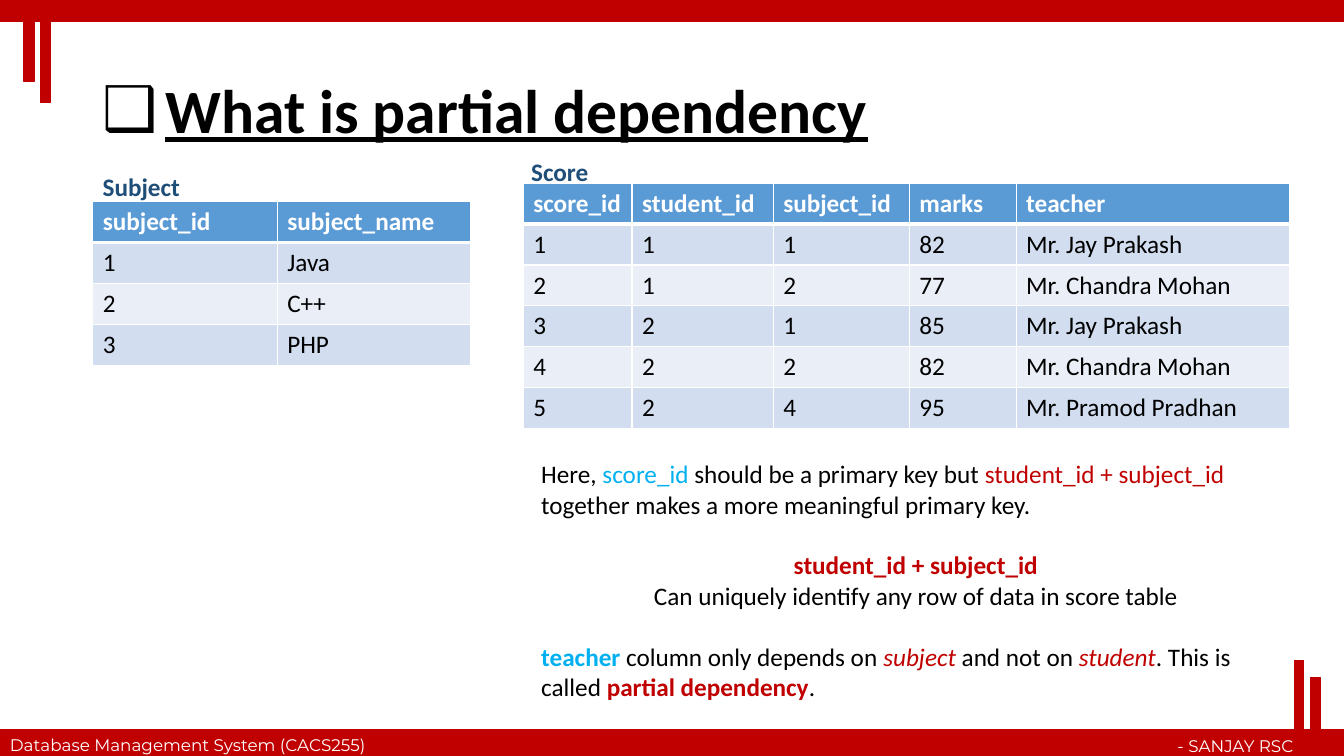
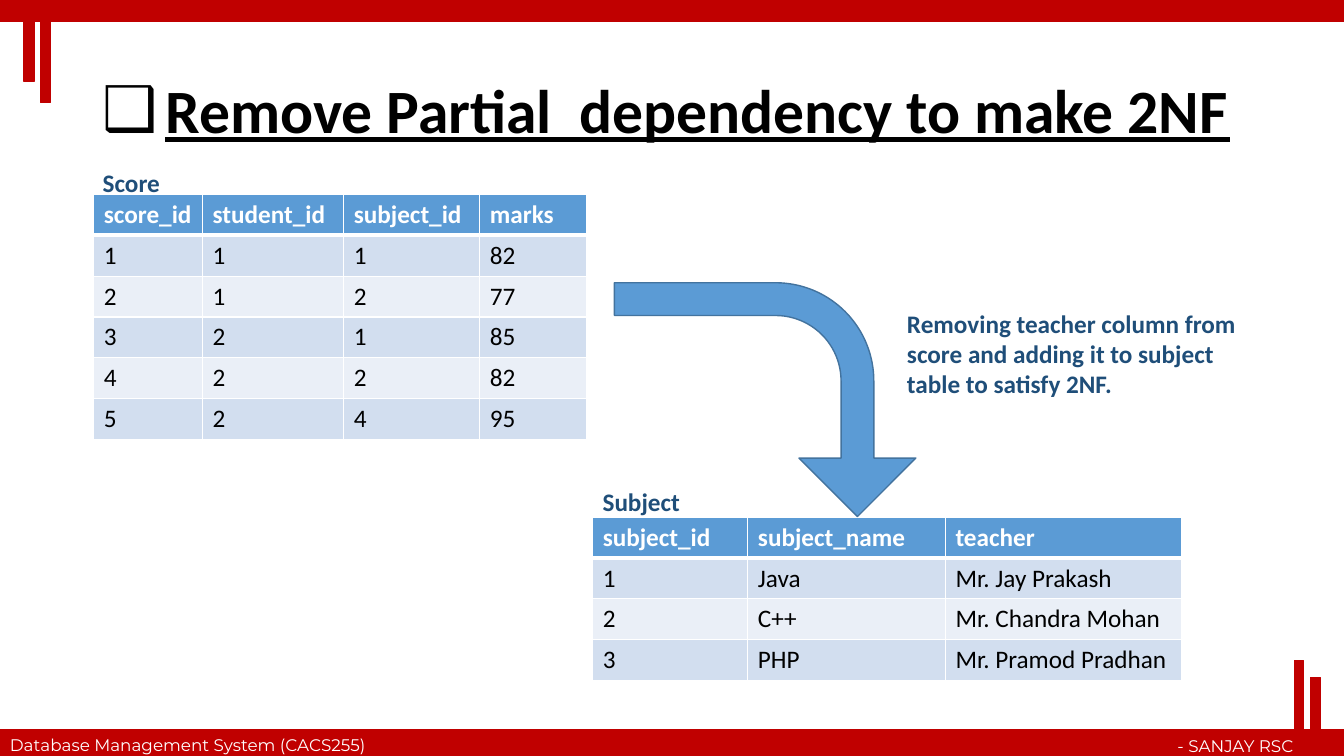
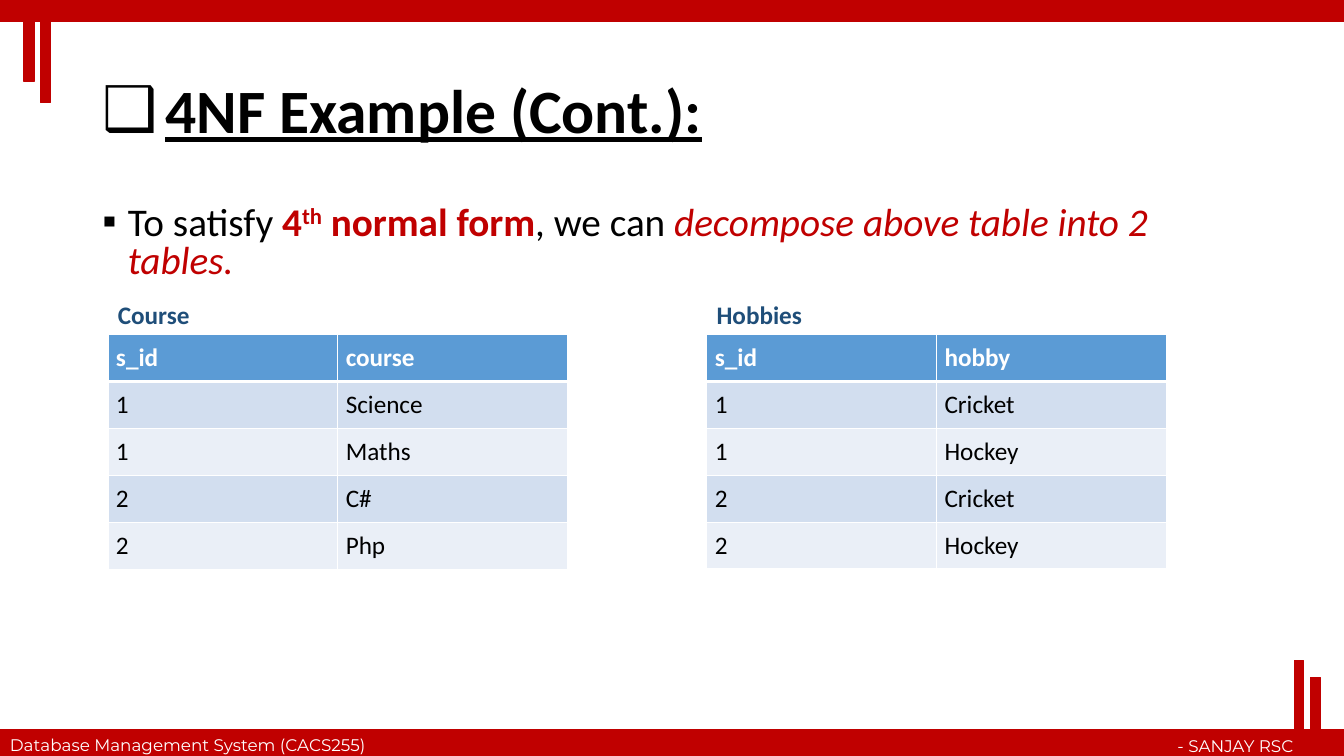
from dataclasses import dataclass

from lxml.etree import SubElement
from pptx import Presentation
from pptx.dml.color import RGBColor
from pptx.enum.shapes import MSO_SHAPE, PP_PLACEHOLDER
from pptx.enum.text import MSO_ANCHOR, MSO_AUTO_SIZE, PP_ALIGN
from pptx.oxml.ns import qn
from pptx.util import Inches, Pt


@dataclass(frozen=True)
class Theme:
    font: str = "Calibri"
    footer_font: str = "Montserrat"
    red: str = "C00000"
    cyan: str = "00B0F0"
    navy: str = "1F4E79"
    blue: str = "5B9BD5"
    outline: str = "43739E"
    band_dark: str = "D2DEEF"
    band_light: str = "EAEFF7"
    white: str = "FFFFFF"
    black: str = "000000"
    title: int = 44
    body: int = 28
    text: int = 18
    footer: int = 12


T = Theme()
RGB = RGBColor.from_string

prs = Presentation()
prs.slide_width, prs.slide_height = Inches(13.33), Inches(7.5)
X, Y = prs.slide_width / 100, prs.slide_height / 100


def place(left, top, width, height):
    """Turn percentages of the slide's size into lengths."""
    return [round(v * u) for v, u in zip((left, top, width, height), (X, Y, X, Y))]


def write(p, *runs, align=PP_ALIGN.LEFT, before=0, spacing=None, bullet=None,
          indent=0, **base):
    """Fill a paragraph with runs: plain strings or (text, format) pairs."""
    p.alignment, p.space_before, p.line_spacing = align, Pt(before), spacing
    if bullet:
        pPr = p._p.get_or_add_pPr()
        pPr.set("marL", str(Inches(indent)))
        pPr.set("indent", str(-Inches(indent)))
        SubElement(pPr, qn("a:buFont"), typeface=T.font)
        SubElement(pPr, qn("a:buChar"), char=bullet)
    for run in runs:
        text, extra = (run, {}) if isinstance(run, str) else run
        fmt = {**base, **extra}
        r = p.add_run()
        r.text = text
        r.font.name = fmt.get("font", T.font)
        r.font.size = Pt(fmt.get("size", T.text))
        r.font.color.rgb = RGB(fmt.get("color", T.black))
        r.font.bold = fmt.get("bold", False)
        r.font.italic = fmt.get("italic", False)
        r.font.underline = fmt.get("underline", False)
        if fmt.get("superscript"):
            r._r.get_or_add_rPr().set("baseline", "30000")


# Slides and titles
layout = prs.slide_layouts[5]
for ph in list(layout.placeholders):
    if ph.placeholder_format.type != PP_PLACEHOLDER.TITLE:
        ph.element.getparent().remove(ph.element)

slides = []
for title in ("What is partial dependency",
              "Remove Partial  dependency to make 2NF",
              "4NF Example (Cont.):"):
    s = prs.slides.add_slide(layout)
    sp = s.shapes.title
    sp.left, sp.top, sp.width, sp.height = place(6.9, 5.33, 86.25, 19.33)
    tf = sp.text_frame
    tf.auto_size, tf.vertical_anchor = MSO_AUTO_SIZE.NONE, MSO_ANCHOR.MIDDLE
    write(tf.paragraphs[0], title, spacing=0.9, bullet="❑", indent=0.62,
          size=T.title, bold=True, underline=True)
    slides.append(s)
partial, remove, fourth = slides

# Bands and footers, drawn once and moved to the layout
shared = []
for box in ((0, 96.53, 100, 3.47), (0, 0, 100, 2.8),
            (3, 0.13, 0.75, 13.47), (1.8, 0.4, 0.75, 10.4),
            (96.3, 87.33, 0.68, 12.53), (97.5, 89.6, 0.75, 10.4)):
    sp = partial.shapes.add_shape(MSO_SHAPE.RECTANGLE, *place(*box))
    sp.shadow.inherit = False
    sp.fill.solid()
    sp.fill.fore_color.rgb = sp.line.color.rgb = RGB(T.red)
    sp.line.width = Pt(1)
    shared.append(sp)
for text, box, align in (
        ("Database Management System (CACS255)", (0, 96.53, 31.2, 4), PP_ALIGN.LEFT),
        ("- SANJAY RSC", (72.75, 96.67, 24.23, 4), PP_ALIGN.RIGHT)):
    sp = partial.shapes.add_textbox(*place(*box))
    sp.text_frame.word_wrap = True
    write(sp.text_frame.paragraphs[0], text, align=align,
          font=T.footer_font, size=T.footer, color=T.white)
    shared.append(sp)
for sp in shared:
    layout.shapes.element.append(sp.element)

# Tables with their labels
subjects = [("subject_id", "subject_name"), ("1", "Java"), ("2", "C++"), ("3", "PHP")]
scores = [("score_id", "student_id", "subject_id", "marks", "teacher"),
          ("1", "1", "1", "82", "Mr. Jay Prakash"),
          ("2", "1", "2", "77", "Mr. Chandra Mohan"),
          ("3", "2", "1", "85", "Mr. Jay Prakash"),
          ("4", "2", "2", "82", "Mr. Chandra Mohan"),
          ("5", "2", "4", "95", "Mr. Pramod Pradhan")]
teachers = ("teacher", "Mr. Jay Prakash", "Mr. Chandra Mohan", "Mr. Pramod Pradhan")
subjects_2nf = [(*row, teacher) for row, teacher in zip(subjects, teachers)]
scores_2nf = [row[:4] for row in scores]
courses = [("s_id", "course"), ("1", "Science"), ("1", "Maths"), ("2", "C#"), ("2", "Php")]
hobbies = [("s_id", "hobby"), ("1", "Cricket"), ("1", "Hockey"),
           ("2", "Cricket"), ("2", "Hockey")]
score_cols = (8.1, 10.5, 10.13, 7.95, 20.33)
half_cols = (17.1, 17.1)

for s, label, label_at, table_at, cols, rows, pad in (
        (partial, "Subject", (6.9, 22), (6.9, 26.67), (13.73, 14.4), subjects, 0.05),
        (partial, "Score", (38.78, 20), (38.93, 24.27), score_cols, scores, 0.05),
        (remove, "Subject", (44.1, 63.73), (44.1, 68.4), (11.55, 14.7, 17.55),
         subjects_2nf, 0.05),
        (remove, "Score", (6.9, 21.47), (6.98, 25.73), score_cols[:4], scores_2nf, 0.05),
        (fourth, "Course", (8.03, 38.93), (8.03, 44.27), half_cols, courses, 0.08),
        (fourth, "Hobbies", (52.58, 38.93), (52.58, 44.27), half_cols, hobbies, 0.08)):
    row_height = Pt(1.22 * T.text) + 2 * Inches(pad)
    left, top, width, _ = place(*table_at, sum(cols), 0)
    table = s.shapes.add_table(len(rows), len(cols), left, top, width,
                               row_height * len(rows)).table
    for column, share in zip(table.columns, cols):
        column.width = round(share * X)
    for i, row in enumerate(rows):
        table.rows[i].height = row_height
        fill = T.blue if i == 0 else T.band_dark if i % 2 else T.band_light
        for j, text in enumerate(row):
            cell = table.cell(i, j)
            cell.margin_top = cell.margin_bottom = Inches(pad)
            cell.margin_left = cell.margin_right = Inches(0.08 if pad == 0.08 else 0.1)
            tcPr = cell._tc.get_or_add_tcPr()
            for side in "LRTB":
                thick = (i, side) in ((0, "B"), (1, "T"))
                ln = SubElement(tcPr, qn(f"a:ln{side}"), w=str(Pt(3 if thick else 1)))
                SubElement(SubElement(ln, qn("a:solidFill")), qn("a:srgbClr"), val=T.white)
            cell.fill.solid()
            cell.fill.fore_color.rgb = RGB(fill)
            write(cell.text_frame.paragraphs[0], text, bold=i == 0,
                  color=T.black if i else T.white)
    sp = s.shapes.add_textbox(*place(*label_at, 11.25, 5.33))
    sp.text_frame.word_wrap = True
    write(sp.text_frame.paragraphs[0], label, color=T.navy, bold=True)

# Arrow from the score table to the subject table
arrow = remove.shapes.add_shape(MSO_SHAPE.BENT_ARROW, *place(48.23, 32.93, 17.4, 39.87))
arrow.rotation = 90
for i, value in enumerate((0.14, 0.25, 0.25, 0.42)):
    arrow.adjustments[i] = value
arrow.shadow.inherit = False
arrow.fill.solid()
arrow.fill.fore_color.rgb = RGB(T.blue)
arrow.line.color.rgb = RGB(T.outline)
arrow.line.width = Pt(1)

# Explanations: each paragraph is its runs and its format
red, cyan = {"color": T.red}, {"color": T.cyan}
red_bold, red_italic = {**red, "bold": True}, {**red, "italic": True}
gap = 1.22 * T.text
for s, box, paragraphs in (
        (partial, (39.53, 60, 57.23, 33.6), (
            (("Here, ", ("score_id", cyan), " should be a primary key but ",
              ("student_id + subject_id ", red),
              "together makes a more meaningful primary key."), {}),
            (("student_id + subject_id",),
             {**red_bold, "align": PP_ALIGN.CENTER, "before": gap}),
            (("Can uniquely identify any row of data in score table",),
             {"align": PP_ALIGN.CENTER}),
            ((("teacher", {**cyan, "bold": True}), " column only depends on ",
              ("subject", red_italic), " and not on ", ("student", red_italic),
              ". This is called ", ("partial dependency", red_bold), "."),
             {"before": gap}))),
        (remove, (66.75, 40.13, 26.93, 13.47), (
            (("Removing teacher column from score and adding it to subject table "
              "to satisfy 2NF.",), {"color": T.navy, "bold": True}),)),
        (fourth, (6.9, 26.67, 86.25, 12.27), (
            (("To satisfy ", ("4", red_bold), ("th", {**red_bold, "superscript": True}),
              (" normal form", red_bold), ", we can ",
              ("decompose above table into 2 tables.", red_italic)),
             {"size": T.body, "spacing": 0.8, "bullet": "▪", "indent": 0.25}),))):
    tf = s.shapes.add_textbox(*place(*box)).text_frame
    tf.word_wrap = True
    for i, (runs, fmt) in enumerate(paragraphs):
        write(tf.add_paragraph() if i else tf.paragraphs[0], *runs, **fmt)

prs.save("out.pptx")
